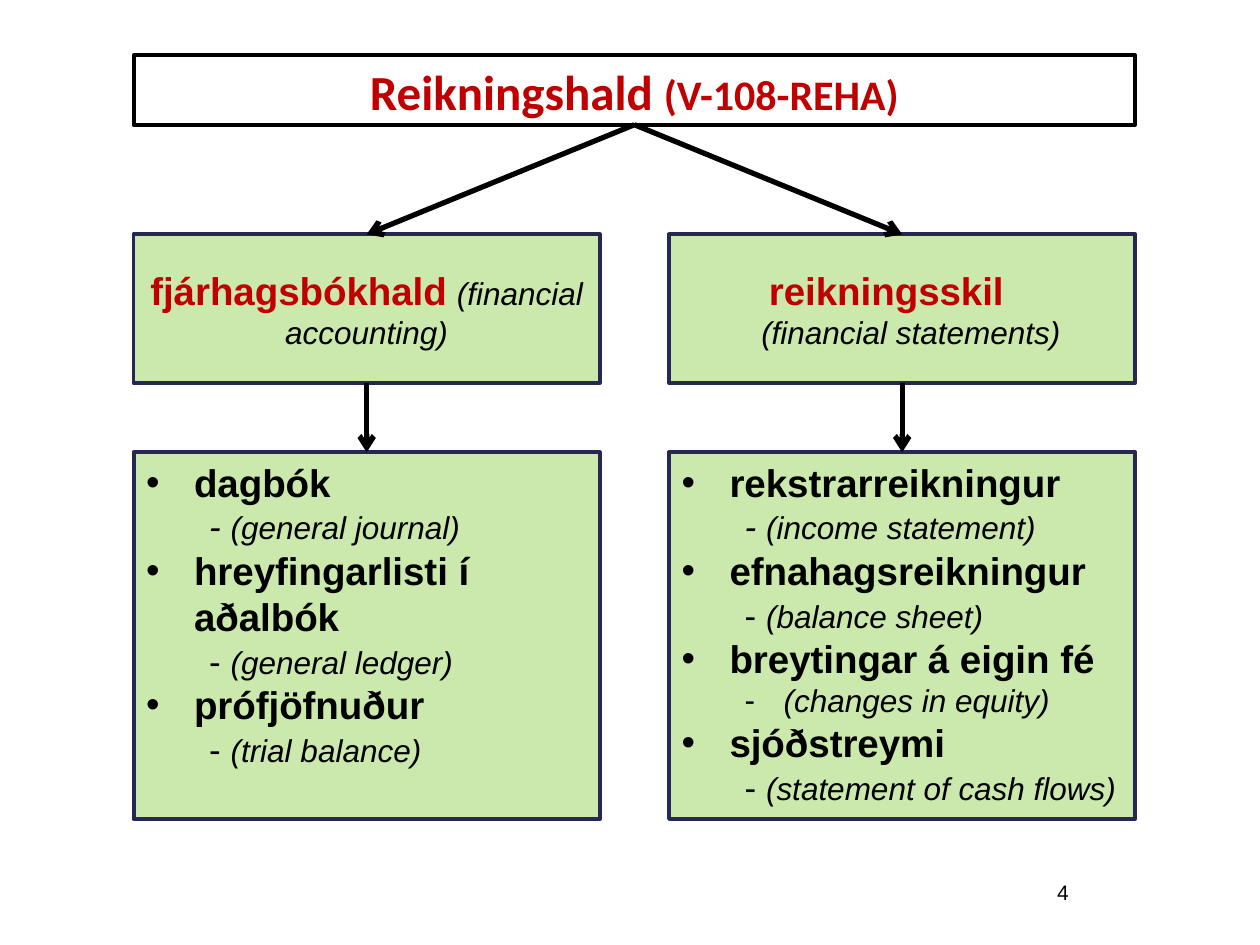
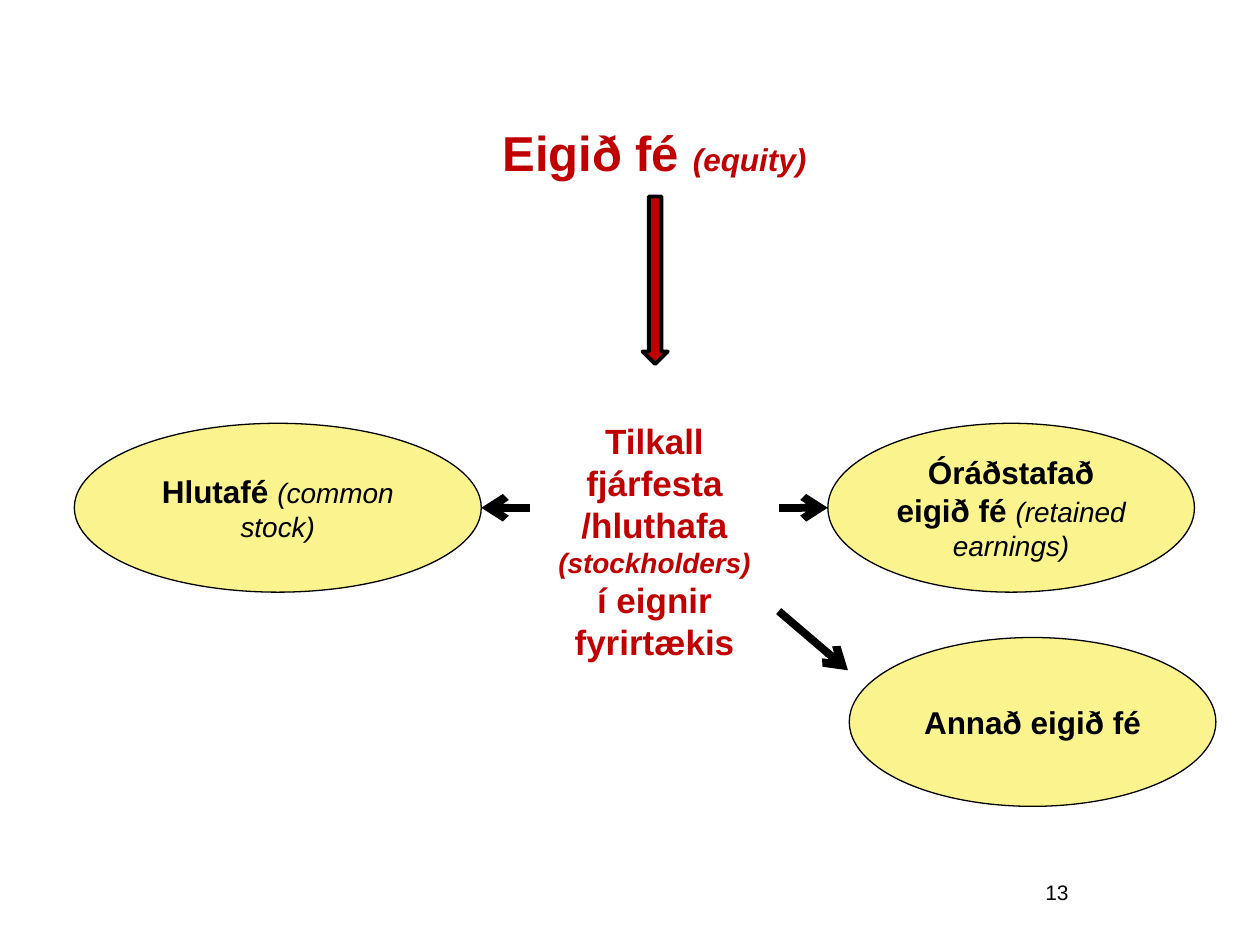
from dataclasses import dataclass

from pptx import Presentation
from pptx.dml.color import RGBColor as Rgb
from pptx.enum.shapes import MSO_CONNECTOR as Link, MSO_SHAPE as Kind
from pptx.enum.text import MSO_ANCHOR as Anchor, MSO_AUTO_SIZE as Fit, PP_ALIGN as Align
from pptx.oxml.ns import qn
from pptx.util import Inches, Pt


@dataclass(frozen=True)
class Theme:
    # Colours
    red: str = "C00000"
    black: str = "000000"
    navy: str = "242852"
    green: str = "CCE9AD"
    yellow: str = "FBF38D"
    # Type
    font: str = "Arial"
    head_font: str = "Calibri"
    head: int = 28
    head_note: int = 24
    term: int = 22
    claim: int = 20
    note: int = 18
    small: int = 16
    page: int = 12


LOOK = Theme()


class Deck:
    def __init__(self, look):
        self.look = look
        self.prs = Presentation()
        self.prs.slide_width, self.prs.slide_height = Inches(10), Inches(7.5)
        self.slide = None

    def new(self, layout, page):
        """Start a slide and give it its page number."""
        self.slide = self.prs.slides.add_slide(self.prs.slide_layouts[layout])
        box = self.slide.shapes.add_textbox(*map(Inches, (6.5, 6.83, 2.08, 0.5)))
        frame = self.frame(box, Anchor.MIDDLE)
        self.para(frame, [(page, self.look.page, "")], align=Align.RIGHT)

    def frame(self, shape, anchor):
        frame = shape.text_frame
        frame.word_wrap = True
        frame.auto_size = Fit.NONE
        frame.vertical_anchor = anchor
        return frame

    def paint(self, shape, fill=None, line=None, width=2.25):
        if fill:
            shape.fill.solid()
            shape.fill.fore_color.rgb = Rgb.from_string(fill)
        else:
            shape.fill.background()
        if line:
            shape.line.color.rgb = Rgb.from_string(line)
            shape.line.width = Pt(width)
        else:
            shape.line.fill.background()

    def para(self, frame, runs, color=None, font=None, align=Align.LEFT,
             level=0, left=0, first=0, right=0, bullet=None, before=0):
        """Add a paragraph of (text, size, style) runs; style holds b and i."""
        blank = not frame.paragraphs[0].runs
        par = frame.paragraphs[0] if blank else frame.add_paragraph()
        par.alignment, par.level, par.space_before = align, level, Pt(before)
        props = par._p.get_or_add_pPr()
        for key, value in (("marL", left), ("marR", right), ("indent", first)):
            props.set(key, str(Inches(value)))
        mark = props.makeelement(qn("a:buChar" if bullet else "a:buNone"), {})
        if bullet:
            mark.set("char", bullet)
        props.append(mark)
        for text, size, style in runs:
            run = par.add_run()
            run.text = text
            run.font.name = font or self.look.font
            run.font.size = Pt(size)
            run.font.bold, run.font.italic = "b" in style, "i" in style
            run.font.color.rgb = Rgb.from_string(color or self.look.black)

    def place(self, shape, spot):
        shape.left, shape.top, shape.width, shape.height = map(Inches, spot)

    def title(self, spot, runs, font=None, line=None):
        head = self.slide.shapes.title
        self.place(head, spot)
        self.paint(head, line=line)
        self.para(self.frame(head, Anchor.TOP), runs, self.look.red, font,
                  Align.CENTER, before=5.6)

    def list(self, index, spot, items):
        """Fill a body placeholder with terms and their English notes."""
        body = self.slide.placeholders[index]
        self.place(body, spot)
        self.paint(body, self.look.green, self.look.navy)
        frame = self.frame(body, Anchor.TOP)
        for term, dash, note in items:
            self.para(frame, [(term, self.look.term, "b")],
                      left=0.38, first=-0.38, bullet="•")
            text = (note, self.look.note, "i")
            if dash is None:
                self.para(frame, [text], level=1, left=0.81, first=-0.31, bullet="-")
            else:
                self.para(frame, [("- ", self.look.claim, dash), text],
                          level=1, left=0.5)

    def shape(self, kind, spot, fill=None, line=None, width=2.25):
        """Draw a preset shape and return its text frame."""
        shape = self.slide.shapes.add_shape(kind, *map(Inches, spot))
        shape.shadow.inherit = False
        self.paint(shape, fill, line, width)
        return self.frame(shape, Anchor.MIDDLE)

    def oval(self, spot, runs):
        frame = self.shape(Kind.OVAL, spot, self.look.yellow, self.look.black, 0.75)
        self.para(frame, runs, align=Align.CENTER)

    def arrow(self, start, end, width):
        line = self.slide.shapes.add_connector(
            Link.STRAIGHT, *map(Inches, (*start, *end)))
        line.line.color.rgb = Rgb.from_string(self.look.black)
        line.line.width = Pt(width)
        edge = line.line._get_or_add_ln()
        edge.append(edge.makeelement(qn("a:tailEnd"), {"type": "arrow"}))
        props = line._element.spPr
        props.append(props.makeelement(qn("a:effectLst"), {}))


def course(deck):
    look = deck.look
    deck.new(3, "4")
    # Heading
    left, wide, span = 1.06, 7.95, 3.7
    mid, foot = left + wide / 2, 0.99
    deck.title((left, 0.44, wide, 0.55),
               [("Reikningshald ", look.head, "b"),
                ("(V-108-REHA)", look.head_note, "b")],
               look.head_font, look.black)

    # Two branches: topic box, list and arrows
    center = {"align": Align.CENTER}
    topics = [
        [([("fjárhagsbókhald", look.term, "b")], " ", "(financial accounting)")],
        [([("reikningsskil", look.term, "b")], "", ""),
         ([], "", "(financial statements)")],
    ]
    shifts = [[{}], [{"right": 0.25}, {"left": 0.14}]]
    lists = [
        [("dagbók", "i", "(general journal)"),
         ("hreyfingarlisti í aðalbók", "", "(general ledger)"),
         ("prófjöfnuður", "", "(trial balance)")],
        [("rekstrarreikningur", "i", "(income statement)"),
         ("efnahagsreikningur", "", "(balance sheet)"),
         ("breytingar á eigin fé", None, "(changes in equity)"),
         ("sjóðstreymi", "", "(statement of cash flows)")],
    ]
    for col, (topic, shift, items) in enumerate(zip(topics, shifts, lists)):
        x = left + col * (wide - span)
        axis = x + span / 2
        frame = deck.shape(Kind.RECTANGLE, (x, 1.86, span, 1.18),
                           look.green, look.navy)
        for (name, gap, note), move in zip(topic, shift):
            runs = list(name)
            if gap:
                runs.append((gap, look.claim, ""))
            if note:
                runs.append((note, look.note, "i"))
            deck.para(frame, runs, look.black, **center, **move)
            for run in frame.paragraphs[-1].runs[:len(name)]:
                run.font.color.rgb = Rgb.from_string(look.red)
        deck.list(col + 1, (x, 3.59, span, 2.91), items)
        deck.arrow((mid, foot), (axis, 1.86), 3)
        deck.arrow((axis, 3.04), (axis, 3.59), 3)


def equity(deck):
    look = deck.look
    deck.new(5, "13")
    # Heading and the arrow below it
    deck.title((3.66, 0.92, 3.07, 0.64),
               [("Eigið fé ", look.head, "b"), ("(equity)", look.note, "bi")])
    deck.shape(Kind.DOWN_ARROW, (5.1, 1.56, 0.2, 1.33), look.red, look.black)

    # Claim in the middle
    frame = deck.shape(Kind.ROUNDED_RECTANGLE, (4.21, 2.88, 1.97, 2.83))
    deck.para(frame, [("Tilkall fjárfesta /hluthafa ", look.claim, "b"),
                      ("(stockholders) ", look.small, "bi"),
                      ("í eignir fyrirtækis", look.claim, "b")],
              look.red, align=Align.CENTER)

    # Parts of equity
    high = 1.34
    deck.oval((0.59, 3.36, 3.23, high),
              [("Hlutafé ", look.note, "b"), ("(common stock)", look.small, "i")])
    deck.oval((6.57, 3.36, 2.91, high),
              [("Óráðstafað eigið fé ", look.note, "b"),
               ("(retained earnings)", look.small, "i")])
    deck.oval((6.74, 5.06, 2.91, high), [("Annað eigið fé", look.note, "b")])
    for start, end in (((4.21, 4.03), (3.82, 4.03)),
                       ((6.18, 4.03), (6.57, 4.03)),
                       ((6.18, 4.85), (6.73, 5.32))):
        deck.arrow(start, end, 4.5)


def main():
    deck = Deck(LOOK)
    course(deck)
    equity(deck)
    deck.prs.save("out.pptx")


if __name__ == "__main__":
    main()
